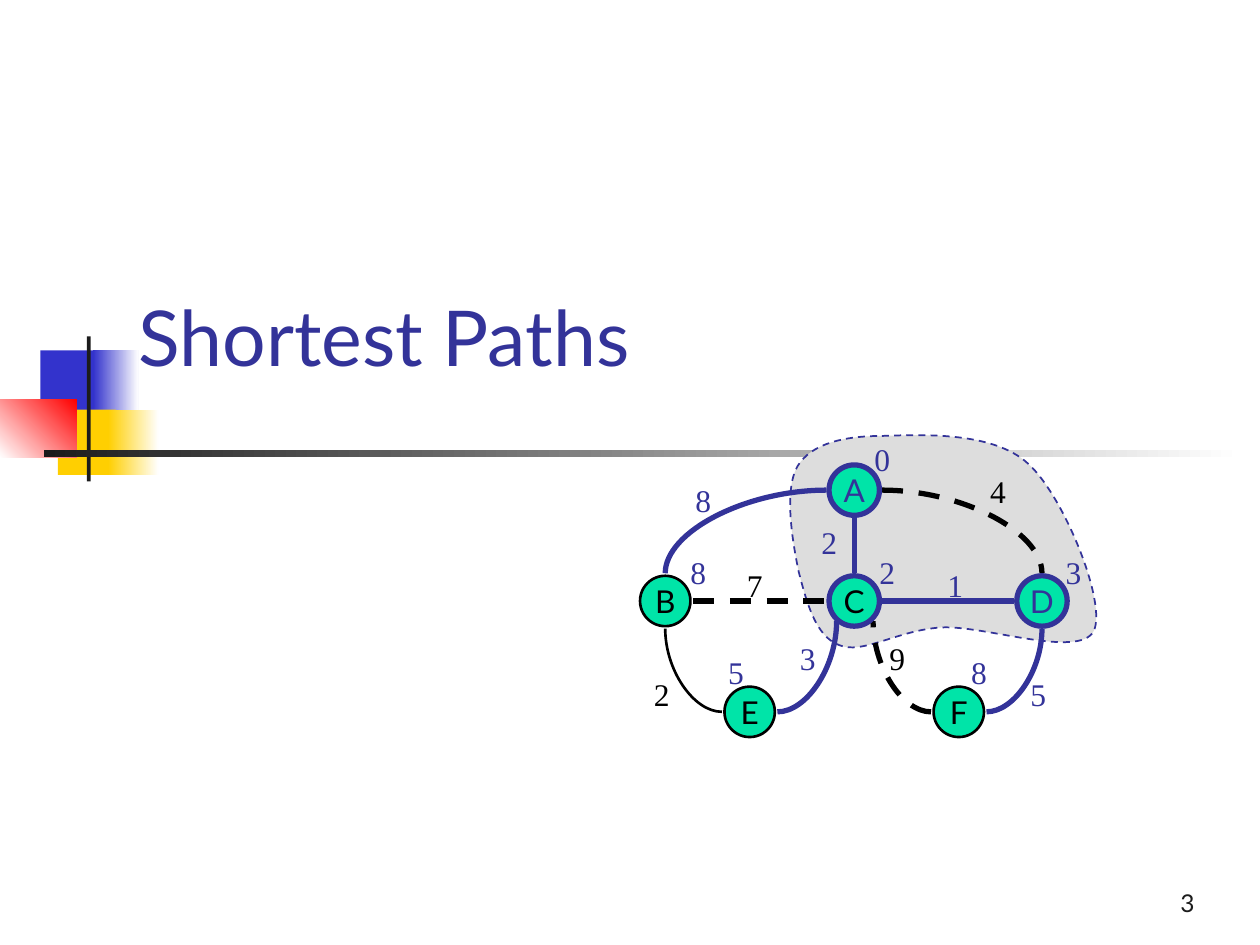
from dataclasses import dataclass

from lxml import etree
from pptx import Presentation
from pptx import util as u
from pptx.dml.color import RGBColor
from pptx.enum import dml, shapes, text
from pptx.oxml.ns import qn


@dataclass(frozen=True)
class Theme:
    sans: str = "Lato"
    serif: str = "Times New Roman"
    title_size: int = 44
    graph_size: int = 18
    number_size: int = 14
    ink: str = "000000"
    charcoal: str = "1C1C1C"
    indigo: str = "333399"
    blue: str = "3333CC"
    yellow: str = "FFCF01"
    red: str = "FF0000"
    white: str = "FFFFFF"
    green: str = "00E4A8"
    gray: str = "DDDDDD"
    thin: float = 1
    normal: float = 1.5
    thick: float = 3


T = Theme()
TITLE = ("Shortest Paths", (1, 1.83, 8.5, 1.25))
PAGE = ("3", (7.5, 6.83, 2.08, 0.5))

EMBLEM = [
    ((0.32, 2.78, 0.48, 0.52), (T.blue,), 0),
    ((0.74, 2.78, 0.36, 0.52), (T.blue, T.white), 0),
    ((0.46, 3.25, 0.46, 0.52), (T.yellow,), 0),
    ((0.86, 3.25, 0.4, 0.52), (T.yellow, T.white), 0),
    ((0, 3.17, 0.61, 0.46), (T.white, T.red), 45),
    ((0.69, 2.67, 0.03, 1.15), (T.charcoal,), 0),
    ((0.35, 3.57, 9.51, 0.06), (T.charcoal, T.white), 0),
]

CLOUD_START = (7, 3.46)
CLOUD_CURVES = [
    ((7.3, 3.45), (7.88, 3.42), (8.16, 3.68)),
    ((8.44, 3.93), (8.79, 4.79), (8.68, 5.01)),
    ((8.56, 5.23), (7.81, 4.96), (7.47, 4.98)),
    ((7.13, 5), (6.84, 5.2), (6.66, 5.12)),
    ((6.47, 5.05), (6.4, 4.77), (6.34, 4.54)),
    ((6.29, 4.3), (6.22, 3.89), (6.33, 3.7)),
    ((6.44, 3.52), (6.7, 3.46), CLOUD_START),
]

COLUMNS = (5.28, 5.95, 6.78, 7.61, 8.27)
ROW_TOP, ROW_STEP = 3.89, 0.88
DIAMETER, REACH = 0.4, 0.22
NODES = {
    "A": (2, 0, T.indigo, T.indigo, T.thick),
    "B": (0, 1, T.ink, T.ink, T.normal),
    "C": (2, 1, T.ink, T.indigo, T.thick),
    "D": (4, 1, T.indigo, T.indigo, T.thick),
    "E": (1, 2, T.ink, T.ink, T.normal),
    "F": (3, 2, T.ink, T.ink, T.normal),
}

PORTS = {
    "left": (-REACH, 0), "right": (REACH, 0),
    "top": (0, -REACH), "bottom": (0, REACH),
    "lower left": (-0.14, 0.16), "lower right": (0.15, 0.16),
}
STRAIGHT, CURVED = shapes.MSO_CONNECTOR.STRAIGHT, shapes.MSO_CONNECTOR.CURVE
EDGES = [
    ("A", "left", "B", "top", CURVED, T.indigo, T.thick, False),
    ("E", "left", "B", "bottom", CURVED, T.ink, T.normal, False),
    ("E", "right", "C", "lower left", CURVED, T.indigo, T.thick, False),
    ("A", "bottom", "C", "top", STRAIGHT, T.indigo, T.thick, False),
    ("B", "right", "C", "left", STRAIGHT, T.ink, T.thick, True),
    ("F", "right", "D", "bottom", CURVED, T.indigo, T.thick, False),
    ("A", "right", "D", "top", CURVED, T.ink, T.thick, True),
    ("C", "right", "D", "left", STRAIGHT, T.indigo, T.thick, False),
    ("F", "left", "C", "lower right", CURVED, T.ink, T.thick, True),
]

LABEL_SIZE = (0.32, 0.4)
DISTANCES = [
    ("0", 6.84, 3.44), ("3", 8.36, 4.34), ("2", 6.88, 4.34),
    ("8", 5.38, 4.34), ("5", 5.68, 5.13), ("8", 7.61, 5.13),
]
TREE_WEIGHTS = [
    ("8", 5.42, 3.77), ("1", 7.42, 4.44), ("5", 8.08, 5.31),
    ("2", 6.42, 4.1), ("3", 6.25, 5.02),
]
OTHER_WEIGHTS = [
    ("4", 7.76, 3.7), ("7", 5.83, 4.44), ("2", 5.09, 5.31), ("9", 6.96, 5.02),
]


def rgb(color):
    return RGBColor.from_string(color)


def inches(lengths):
    return [u.Inches(length) for length in lengths]


def write(frame, words, font, size, color, align, anchor, wrap):
    frame.word_wrap = wrap
    frame.vertical_anchor = anchor
    paragraph = frame.paragraphs[0]
    paragraph.alignment = align
    run = paragraph.add_run()
    run.text = words
    run.font.name, run.font.size = font, u.Pt(size)
    run.font.color.rgb = rgb(color)


def textbox(slide, box, *style):
    frame = slide.shapes.add_textbox(*inches(box)).text_frame
    write(frame, *style)
    return frame


def stroke(line, color, width, dashed):
    line.color.rgb, line.width = rgb(color), u.Pt(width)
    if dashed:
        line.dash_style = dml.MSO_LINE.DASH


def paint(shape, colors, angle=0):
    shape.shadow.inherit = False
    if len(colors) == 1:
        shape.fill.solid()
        shape.fill.fore_color.rgb = rgb(colors[0])
        return
    shape.fill.gradient()
    shape.fill.gradient_angle = angle
    for stop, color in zip(shape.fill.gradient_stops, colors):
        stop.color.rgb = rgb(color)


def draw_emblem(slide):
    for box, colors, angle in EMBLEM:
        block = slide.shapes.add_shape(shapes.MSO_SHAPE.RECTANGLE, *inches(box))
        paint(block, colors, angle)
        block.line.fill.background()


def draw_cloud(slide):
    builder = slide.shapes.build_freeform(*inches(CLOUD_START))
    builder.add_line_segments([inches(point) for curve in CLOUD_CURVES for point in curve])
    cloud = builder.convert_to_shape()
    corners = list(cloud._element.iter(qn("a:lnTo")))
    for first in range(0, len(corners), 3):
        bezier = etree.Element(qn("a:cubicBezTo"))
        corners[first].addprevious(bezier)
        for corner in corners[first:first + 3]:
            bezier.append(corner[0])
            corner.getparent().remove(corner)
    paint(cloud, (T.gray,))
    stroke(cloud.line, T.indigo, T.thin, True)


def center(node):
    column, row = NODES[node][:2]
    return COLUMNS[column], ROW_TOP + row * ROW_STEP


def port(node, side):
    return [middle + shift for middle, shift in zip(center(node), PORTS[side])]


def draw_graph(slide):
    for start, start_side, end, end_side, kind, color, width, dashed in EDGES:
        ends = port(start, start_side) + port(end, end_side)
        edge = slide.shapes.add_connector(kind, *inches(ends))
        properties = edge._element.spPr
        if kind == CURVED:
            properties.find(qn("a:prstGeom")).set("prst", "curvedConnector2")
        stroke(edge.line, color, width, dashed)
        etree.SubElement(properties, qn("a:effectLst"))
    for name, (_, _, ink, outline, width) in NODES.items():
        corner = [middle - DIAMETER / 2 for middle in center(name)]
        node = slide.shapes.add_shape(
            shapes.MSO_SHAPE.OVAL, *inches(corner + [DIAMETER, DIAMETER]))
        paint(node, (T.green,))
        stroke(node.line, outline, width, False)
        write(node.text_frame, name, T.sans, T.graph_size, ink,
              text.PP_ALIGN.CENTER, text.MSO_ANCHOR.MIDDLE, False)
    for labels, color in ((DISTANCES + TREE_WEIGHTS, T.indigo), (OTHER_WEIGHTS, T.ink)):
        for value, left, top in labels:
            label = textbox(slide, (left, top, *LABEL_SIZE), value, T.serif, T.graph_size,
                            color, text.PP_ALIGN.CENTER, text.MSO_ANCHOR.TOP, False)
            label.auto_size = text.MSO_AUTO_SIZE.SHAPE_TO_FIT_TEXT


def main():
    deck = Presentation()
    deck.slide_width, deck.slide_height = inches((10, 7.5))
    slide = deck.slides.add_slide(deck.slide_layouts[6])
    draw_emblem(slide)
    for (words, box), size, color, align in (
        (PAGE, T.number_size, T.charcoal, text.PP_ALIGN.RIGHT),
        (TITLE, T.title_size, T.indigo, text.PP_ALIGN.LEFT),
    ):
        textbox(slide, box, words, T.sans, size, color, align, text.MSO_ANCHOR.BOTTOM, True)
    draw_cloud(slide)
    draw_graph(slide)
    deck.save("out.pptx")


if __name__ == "__main__":
    main()
